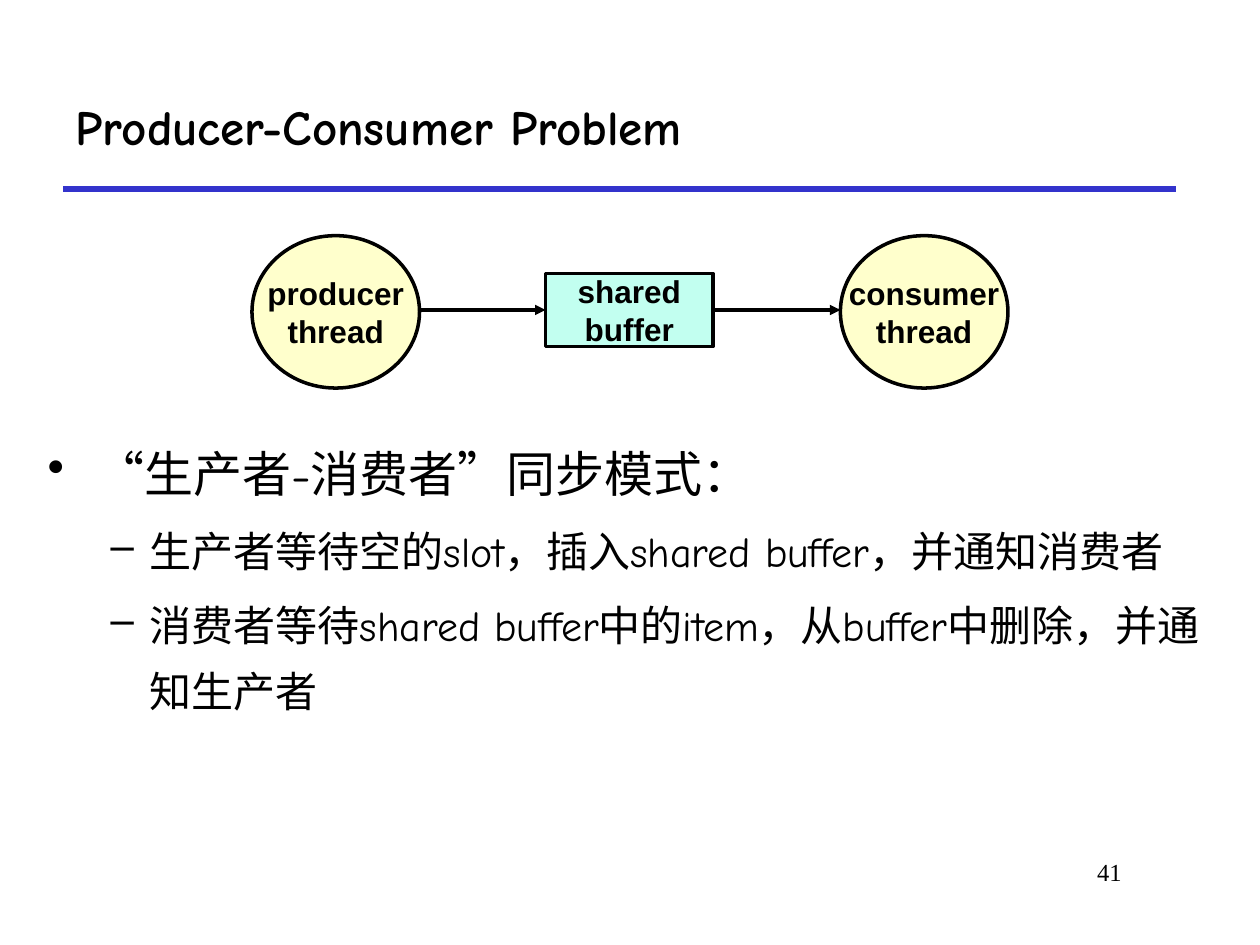
"""Build the Producer-Consumer Problem slide."""
from lxml import etree
from pptx import Presentation
from pptx.dml.color import RGBColor
from pptx.enum.shapes import MSO_CONNECTOR as Connector, MSO_SHAPE as Shape
from pptx.enum.text import MSO_ANCHOR as Anchor, MSO_AUTO_SIZE as AutoSize, PP_ALIGN as Align
from pptx.oxml.ns import qn
from pptx.util import Inches, Pt

BLACK = RGBColor(0x00, 0x00, 0x00)
BLUE = RGBColor(0x33, 0x33, 0xCC)
YELLOW = RGBColor(0xFF, 0xFF, 0xCC)
MINT = RGBColor(0xC2, 0xFF, 0xF0)


def format_runs(paragraph, font_name, size, bold=False):
    for run in paragraph.runs:
        run.font.name = font_name
        run.font.size = Pt(size)
        run.font.bold = bold
        run.font.color.rgb = BLACK


def add_line(x1, x2, y, color, width, arrow=False):
    line = slide.shapes.add_connector(
        Connector.STRAIGHT, Inches(x1), Inches(y), Inches(x2), Inches(y))
    line.line.color.rgb = color
    line.line.width = Pt(width)
    if arrow:
        etree.SubElement(line.line._get_or_add_ln(), qn("a:tailEnd"), type="triangle")
    etree.SubElement(line._element.spPr, qn("a:effectLst"))
    return line


prs = Presentation()
prs.slide_width = Inches(10)
prs.slide_height = Inches(7.5)
slide = prs.slides.add_slide(prs.slide_layouts[5])

title = slide.shapes.title
title.left, title.top = Inches(0.5), Inches(0.5)
title.width, title.height = Inches(8.83), Inches(1)
title.text_frame.text = "Producer-Consumer Problem"
title.text_frame.auto_size = AutoSize.NONE
title.text_frame.vertical_anchor = Anchor.MIDDLE
title.text_frame.paragraphs[0].alignment = Align.LEFT
format_runs(title.text_frame.paragraphs[0], "Comic Neue", 28, bold=True)

add_line(0.5, 9.33, 1.5, BLUE, 3)

stages = [
    ("producer\nthread", Shape.OVAL, YELLOW, 2, 1.87, 1.21),
    ("shared\nbuffer", Shape.RECTANGLE, MINT, 4.33, 2.17, 0.58),
    ("consumer\nthread", Shape.OVAL, YELLOW, 6.67, 1.87, 1.21),
]
flow = []
for label, outline, color, left, top, height in stages:
    stage = slide.shapes.add_shape(
        outline, Inches(left), Inches(top), Inches(1.33), Inches(height))
    stage.shadow.inherit = False
    stage.fill.solid()
    stage.fill.fore_color.rgb = color
    stage.line.color.rgb = BLACK
    stage.line.width = Pt(2)
    frame = stage.text_frame
    frame.text = label
    frame.word_wrap = False
    frame.vertical_anchor = Anchor.MIDDLE
    frame.margin_top = frame.margin_bottom = 0
    for paragraph in frame.paragraphs:
        paragraph.alignment = Align.CENTER
        format_runs(paragraph, "Arial", 18, bold=True)
    flow.append(stage)

buffer_box = flow[1]
insert_arrow = add_line(3.33, 4.33, 2.46, BLACK, 2, arrow=True)
insert_arrow.end_connect(buffer_box, 1)
remove_arrow = add_line(5.66, 6.67, 2.46, BLACK, 2, arrow=True)
remove_arrow.begin_connect(buffer_box, 3)

points = [
    (0, "“生产者-消费者”同步模式："),
    (1, "生产者等待空的slot，插入shared buffer，并通知消费者"),
    (1, "消费者等待shared buffer中的item，从buffer中删除，并通知生产者"),
]
level_styles = [("•", 28, 0.38, -0.38), ("–", 24, 0.81, -0.31)]
body = slide.shapes.add_textbox(Inches(0.28), Inches(3.33), Inches(9.53), Inches(3.58))
body.text_frame.word_wrap = True
body.text_frame.text = "\n".join(text for _, text in points)
for paragraph, (level, _) in zip(body.text_frame.paragraphs, points):
    bullet, size, margin, indent = level_styles[level]
    paragraph.level = level
    properties = paragraph._p.get_or_add_pPr()
    properties.set("marL", str(Inches(margin)))
    properties.set("indent", str(Inches(indent)))
    etree.SubElement(properties, qn("a:buChar"), char=bullet)
    paragraph.line_spacing = 1.3
    if level:
        paragraph.space_before = Pt(size * 0.2)
    format_runs(paragraph, "Comic Neue", size)

page_number = slide.shapes.add_textbox(Inches(7.58), Inches(6.75), Inches(1.42), Inches(0.5))
page_number.text_frame.word_wrap = True
page_number.text_frame.text = "41"
page_number.text_frame.paragraphs[0].alignment = Align.RIGHT
format_runs(page_number.text_frame.paragraphs[0], "Times New Roman", 14)

prs.save("out.pptx")
